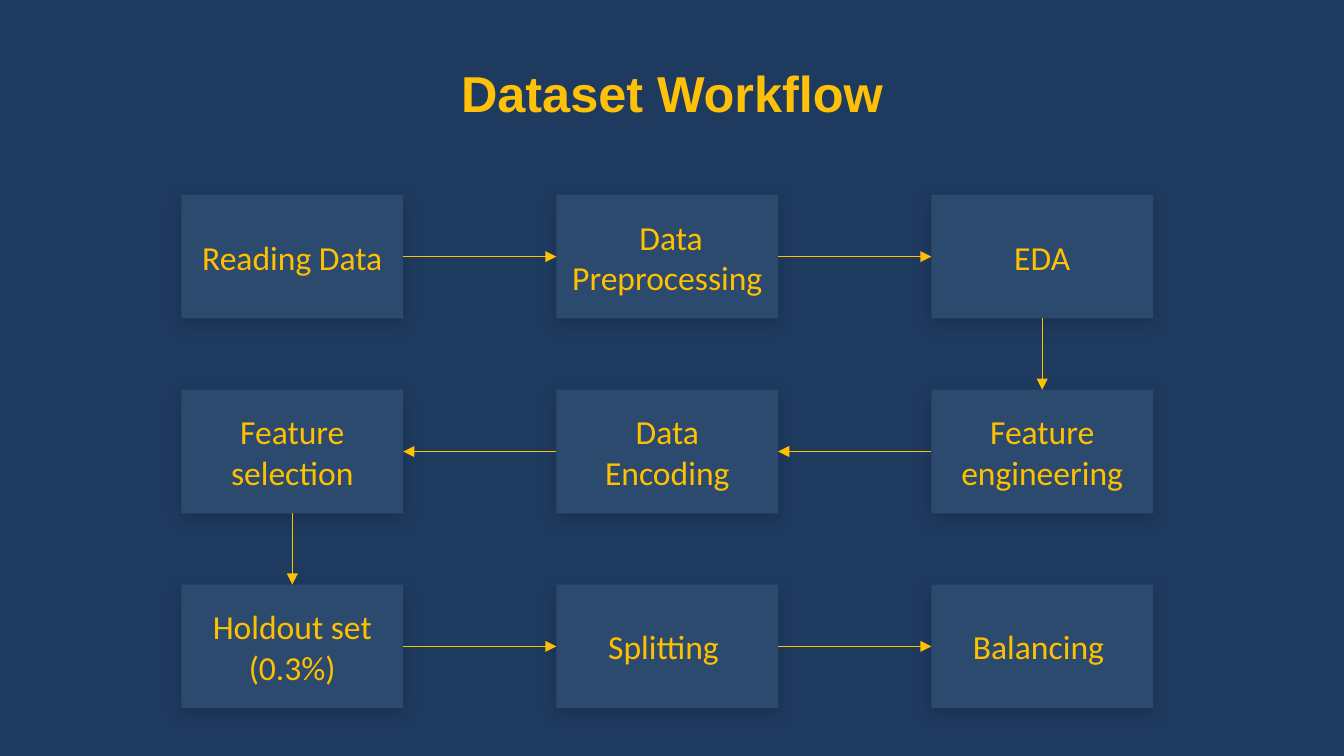
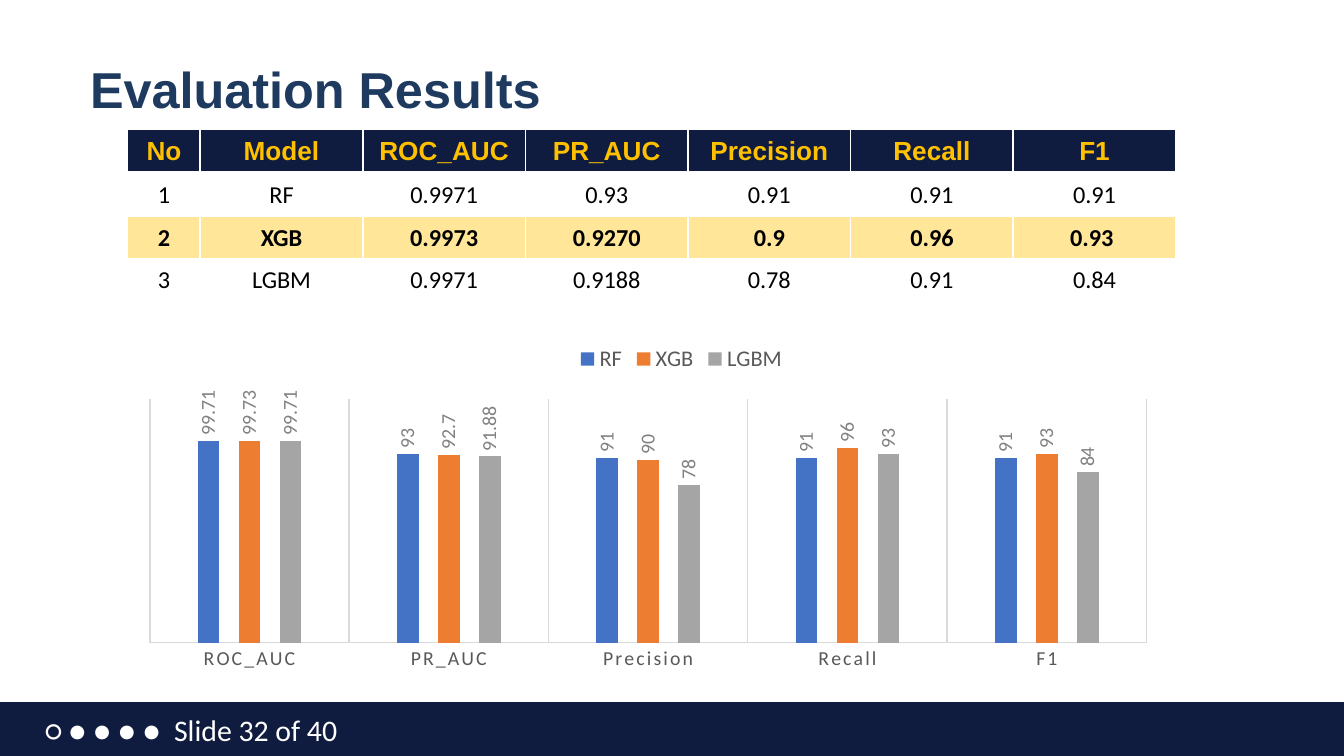
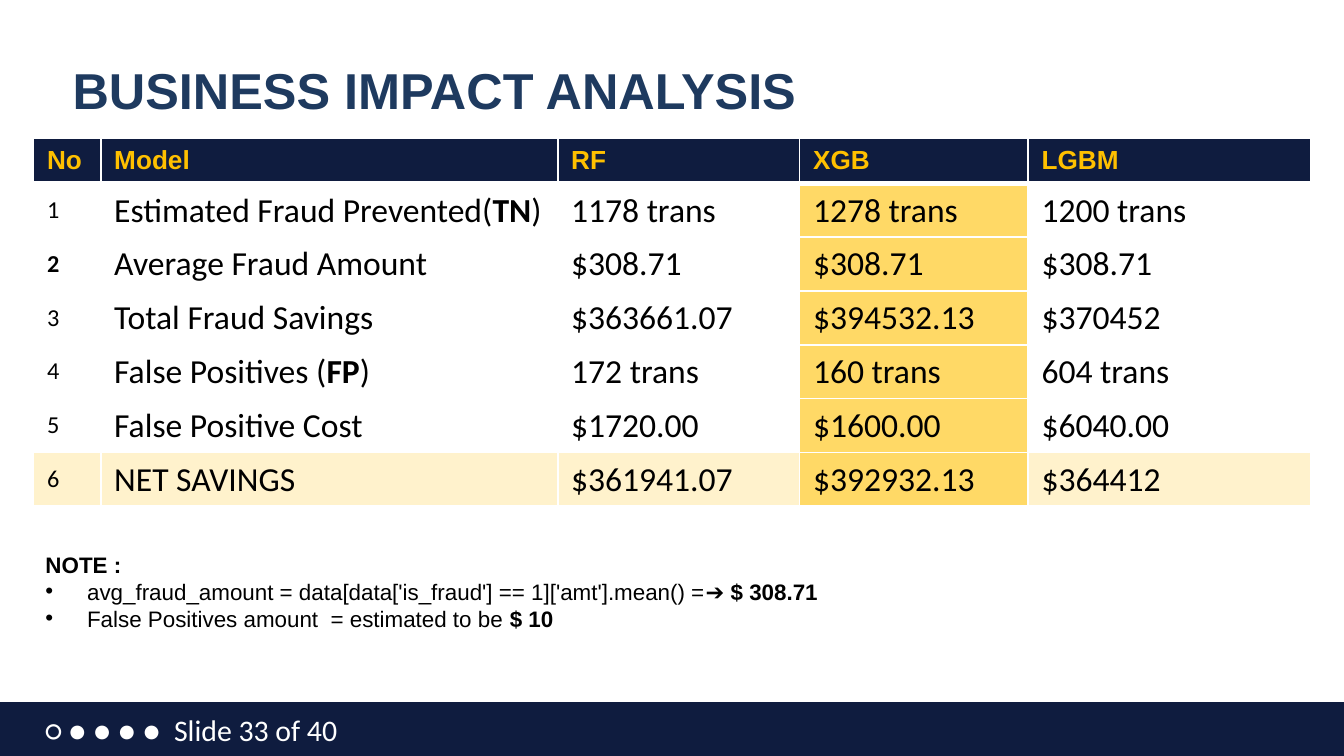
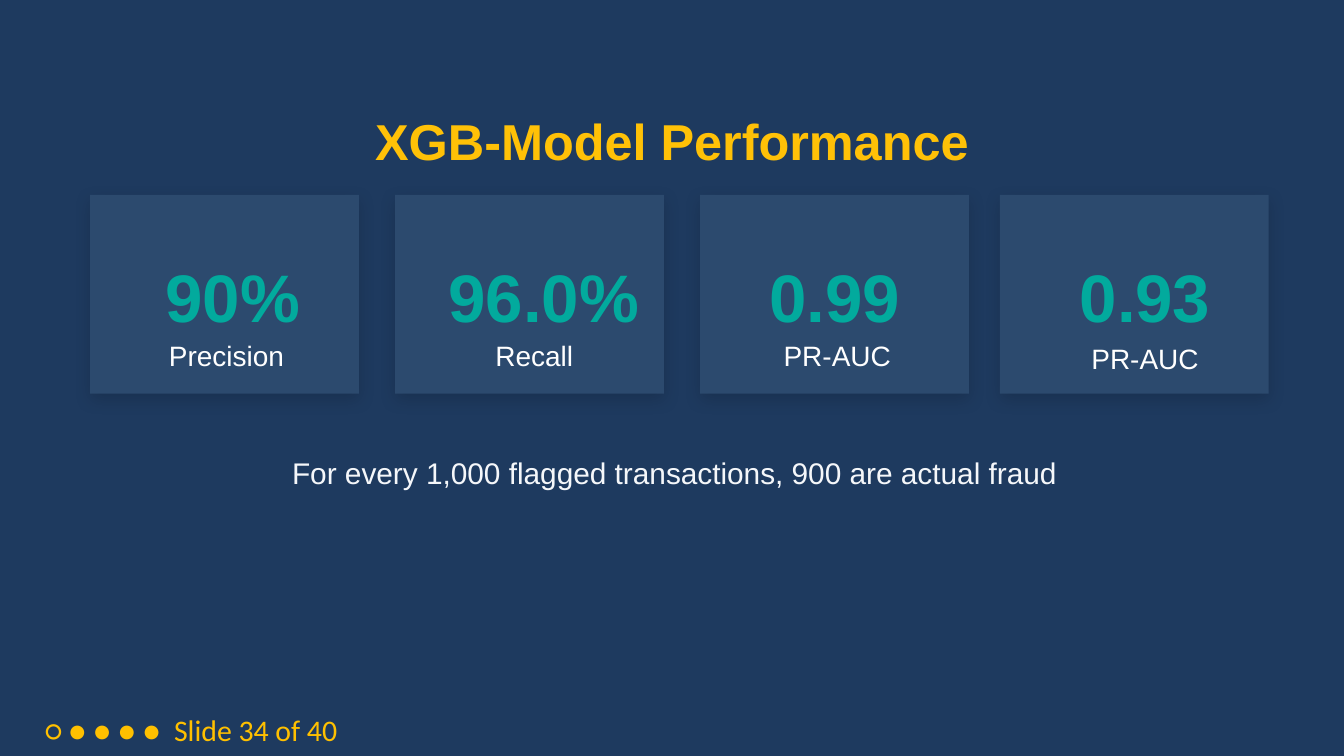
from itertools import pairwise

from lxml import etree
from pptx import Presentation
from pptx.chart.data import CategoryChartData
from pptx.dml.color import RGBColor
from pptx.enum.chart import XL_CHART_TYPE, XL_LABEL_POSITION, XL_LEGEND_POSITION, XL_TICK_MARK
from pptx.enum.shapes import MSO_CONNECTOR, MSO_SHAPE
from pptx.enum.text import MSO_ANCHOR, MSO_AUTO_SIZE, PP_ALIGN
from pptx.oxml import parse_xml
from pptx.oxml.ns import nsdecls, qn
from pptx.util import Inches, Pt

NAVY, BAND, CARD = "1E3A5F", "0F1C3F", "2C4A6E"
GOLD, AMBER, TEAL = "FFC000", "FFC107", "02AA9D"
WHITE, PALE, BLACK = "FFFFFF", "F5F7FA", "000000"
LEFT, MID = PP_ALIGN.LEFT, PP_ALIGN.CENTER


def hue(code):
    return RGBColor.from_string(code)


def place(box):
    return [Inches(n) for n in box]


def paint(fill, code):
    fill.solid()
    fill.fore_color.rgb = hue(code)


def style(font, size, code, face="Calibri", bold=None):
    font.size, font.name, font.bold = Pt(size), face, bold
    font.color.rgb = hue(code)


def write(para, text, size, code, face="Calibri", bold=None, align=LEFT, space=None):
    for i, part in enumerate(text.split("**")):
        if part:
            run = para.add_run()
            run.text = part
            if i % 2:
                run.font.bold = True
    para.alignment = align
    if space:
        para.line_spacing = space
    style(para.font, size, code, face, bold)


def clear(frame):
    frame.margin_left = frame.margin_right = frame.margin_top = frame.margin_bottom = 0


def add_page(deck, back, title, left, top, code, align=LEFT):
    page = deck.slides.add_slide(deck.slide_layouts[5])
    paint(page.background.fill, back)
    head = page.shapes.title
    head.left, head.top, head.width, head.height = place((left, top, 8.84, 0.45))
    frame = head.text_frame
    clear(frame)
    frame.auto_size, frame.vertical_anchor = MSO_AUTO_SIZE.NONE, MSO_ANCHOR.TOP
    write(frame.paragraphs[0], title, 27, code, "Arial", True, align, Pt(43.2))
    return page


def add_text(page, box, text, size, code, space, bold=None):
    frame = page.shapes.add_textbox(*place(box)).text_frame
    frame.word_wrap = True
    clear(frame)
    write(frame.paragraphs[0], text, size, code, "Arial", bold, MID, Pt(space))


def add_block(page, box, code):
    block = page.shapes.add_shape(MSO_SHAPE.RECTANGLE, *place(box))
    block.shadow.inherit = False
    paint(block.fill, code)
    block.line.fill.background()
    return block


def add_card(page, box):
    card = add_block(page, box, CARD)
    glow = parse_xml(
        f'<a:outerShdw {nsdecls("a")} blurRad="{Pt(9)}" dist="{Pt(3)}" dir="5400000" '
        'algn="bl" rotWithShape="0"><a:srgbClr val="000000">'
        '<a:alpha val="15000"/></a:srgbClr></a:outerShdw>')
    card._element.spPr.find(qn("a:effectLst")).append(glow)
    return card


def add_foot(page, count, code=WHITE, band=True):
    if band:
        bar = add_block(page, (0, 5.23, 10, 0.39), BAND)
        paint(bar.line.fill, BAND)
        bar.line.width = Pt(1)
    frame = page.shapes.add_textbox(*place((0.24, 5.25, 3.56, 0.39))).text_frame
    frame.word_wrap, frame.vertical_anchor = True, MSO_ANCHOR.MIDDLE
    write(frame.paragraphs[0], f"○ ● ● ● ●  Slide {count} of 40", 16, code, space=0.9)


def add_link(page, start, end, out, into):
    link = page.shapes.add_connector(MSO_CONNECTOR.STRAIGHT, 0, 0, 0, 0)
    link.begin_connect(start, out)
    link.end_connect(end, into)
    paint(link.line.fill, GOLD)
    link.line.width = Pt(0.5)
    etree.SubElement(link.line._get_or_add_ln(), qn("a:tailEnd"), type="triangle")
    etree.SubElement(link._element.spPr, qn("a:effectLst"))


def add_flow(page, box, steps):
    left, top, wide, high = box
    cell_w, cell_h = 1.65, 0.92
    cards = []
    for i, step in enumerate(steps):
        row, col = divmod(i, 3)
        if row % 2:
            col = 2 - col
        card = add_card(page, (left + col * (wide - cell_w) / 2,
                               top + row * (high - cell_h) / 2, cell_w, cell_h))
        card.text_frame.vertical_anchor = MSO_ANCHOR.MIDDLE
        write(card.text_frame.paragraphs[0], step, 18, GOLD, align=MID)
        cards.append(card)
    for start, end in pairwise(cards):
        if start.left == end.left:
            sites = 2, 0
        else:
            sites = (3, 1) if start.left < end.left else (1, 3)
        add_link(page, start, end, *sites)


def edge(cell, row):
    props = cell._tc.get_or_add_tcPr()
    for i, (tag, width) in enumerate(zip(
            ("lnL", "lnR", "lnT", "lnB"),
            (1, 1, 3 if row == 1 else 1, 3 if row == 0 else 1))):
        props.insert(i, parse_xml(
            f'<a:{tag} {nsdecls("a")} w="{Pt(width)}"><a:solidFill>'
            f'<a:srgbClr val="{WHITE}"/></a:solidFill></a:{tag}>'))


def add_grid(page, box, cols, rows, head, sizes, fills, align=LEFT):
    holder = page.shapes.add_table(len(rows), len(cols), *place(box))
    grid = holder.table
    grid.horz_banding = False
    for col, wide in zip(grid.columns, cols):
        col.width = Inches(wide)
    for r, row in enumerate(rows):
        grid.rows[r].height = Inches(0.2 if r else head)
        for c, text in enumerate(row):
            cell = grid.cell(r, c)
            cell.vertical_anchor = MSO_ANCHOR.MIDDLE
            para = cell.text_frame.paragraphs[0]
            if r:
                write(para, text, sizes[c > 0], BLACK, bold=False, align=align)
            else:
                write(para, text, 14, GOLD, "Arial", True, align)
            code = fills(r, c) if r else BAND
            if code:
                paint(cell.fill, code)
            else:
                cell.fill.background()
            edge(cell, r)
    holder.width, holder.height = place(box[2:])


def add_bars(page, box, cats, series):
    data = CategoryChartData()
    data.categories = cats
    for name, vals, _ in series:
        data.add_series(name, vals)
    chart = page.shapes.add_chart(XL_CHART_TYPE.COLUMN_CLUSTERED, *place(box), data).chart
    style(chart.font, 10, BLACK)
    chart.has_title = False
    chart.has_legend = True
    chart.legend.position = XL_LEGEND_POSITION.TOP
    chart.legend.include_in_layout = False
    style(chart.legend.font, 12, "595959")
    plot = chart.plots[0]
    plot.gap_width, plot.overlap, plot.vary_by_categories = 444, -90, False
    for bars, (_, _, code) in zip(plot.series, series):
        paint(bars.format.fill, code)
        tags = bars.data_labels
        tags.show_value, tags.position = True, XL_LABEL_POSITION.OUTSIDE_END
        style(tags.font, 10.6, "808080", bold=False)
        turn = tags._element.find(qn("c:txPr")).find(qn("a:bodyPr"))
        turn.set("rot", "-5400000")
        turn.set("vert", "horz")
    base = chart.category_axis
    base.major_tick_mark = base.minor_tick_mark = XL_TICK_MARK.NONE
    base.has_major_gridlines = True
    for line in (base.format.line, base.major_gridlines.format.line):
        paint(line.fill, "D9D9D9")
        line.width = Pt(0.75)
    style(base.tick_labels.font, 10.6, "595959")
    base.tick_labels.font._element.set("spc", "120")
    side = chart.value_axis
    side.visible = side.has_major_gridlines = False
    side.minimum_scale, side.maximum_scale = 0, 120
    fit_plot(chart, 0.02, 0.19, 0.9, 0.67)


def fit_plot(chart, *box):
    area = chart._chartSpace.chart.plotArea
    for old in area.findall(qn("c:layout")):
        area.remove(old)
    layout = etree.Element(qn("c:layout"))
    hand = etree.SubElement(layout, qn("c:manualLayout"))
    pairs = [("layoutTarget", "inner"), ("xMode", "edge"), ("yMode", "edge"), *zip("xywh", box)]
    for tag, val in pairs:
        etree.SubElement(hand, qn(f"c:{tag}"), val=str(val))
    area.insert(0, layout)


def add_note(page, box, head, points):
    frame = page.shapes.add_textbox(*place(box)).text_frame
    frame.word_wrap = True
    write(frame.paragraphs[0], head, 12, BLACK, "Arial", True)
    for point in points:
        para = frame.add_paragraph()
        props = para._p.get_or_add_pPr()
        props.set("marL", str(Inches(0.31)))
        props.set("indent", str(-Inches(0.31)))
        etree.SubElement(props, qn("a:buFont"), typeface="Arial")
        etree.SubElement(props, qn("a:buChar"), char="•")
        write(para, point, 12, BLACK, "Arial")


def add_score(page, left, top, score, name, spot, wide, name_spot, name_wide, drop):
    add_card(page, (left, top, 2, 1.48))
    add_text(page, (left + spot, top + 0.25, wide, 0.6), score, 36, TEAL, 57.6, True)
    add_text(page, (left + name_spot, top + drop, name_wide, 0.29), name, 15, WHITE, 28)


def show_flow(deck):
    page = add_page(deck, NAVY, "Dataset Workflow", 0.58, 0.31, AMBER, MID)
    add_flow(page, (1.35, 1.45, 7.23, 3.82), [
        "Reading Data", " Data Preprocessing", "EDA",
        "Feature engineering", "Data Encoding", "Feature selection",
        "Holdout set (0.3%)", "Splitting ", "Balancing "])


def show_tests(deck):
    page = add_page(deck, WHITE, "Evaluation Results", 0.67, 0.28, NAVY)
    add_foot(page, 32)
    tests = ["ROC_AUC", "PR_AUC", "Precision", "Recall", "F1"]
    rows = [
        ["No", "Model", *tests],
        ["1", "RF", "0.9971", "0.93", "0.91", "0.91", "0.91"],
        [f"**{text}**" for text in ("2", "XGB", "0.9973", "0.9270", "0.9", "0.96", "0.93 ")],
        ["3", "LGBM", "0.9971", "0.9188", "0.78", "0.91", "0.84"]]
    add_grid(page, (0.95, 0.96, 7.79, 1.28), [0.54] + [1.21] * 6, rows, 0.27,
             (13, 13), lambda r, c: "FFE699" if r == 2 else None, MID)
    add_bars(page, (0.95, 2.46, 8.24, 2.7), tests, [
        ("RF", (99.71, 93, 91, 91, 91), "4472C4"),
        ("XGB", (99.73, 92.7, 90, 96, 93), "ED7D31"),
        ("LGBM", (99.71, 91.88, 78, 93, 84), "A5A5A5")])


def show_impact(deck):
    page = add_page(deck, WHITE, "BUSINESS IMPACT ANALYSIS", 0.54, 0.29, NAVY)
    add_foot(page, 33)
    rows = [
        ["No", "Model", "RF", "XGB", "LGBM"],
        ["1", "Estimated Fraud Prevented(**TN**)", "1178 trans", "1278 trans", "1200 trans"],
        ["**2**", "Average Fraud Amount", "$308.71", "$308.71", "$308.71"],
        ["3", "Total Fraud Savings", "$363661.07", "$394532.13", "$370452"],
        ["4", "False Positives (**FP**)", "172 trans", "160 trans", "604 trans"],
        ["5", "False Positive Cost", "$1720.00", "$1600.00", "$6040.00"],
        ["6", "NET SAVINGS", "$361941.07", "$392932.13", "$364412"]]
    add_grid(page, (0.25, 1.03, 9.5, 2.73), [0.5, 3.4, 1.8, 1.7, 2.1], rows, 0.17,
             (13, 18), lambda r, c: "FFD966" if c == 3 else "FFF2CC" if r == 6 else None)
    add_note(page, (0.24, 4.05, 6.13, 0.91), "NOTE :", [
        "avg_fraud_amount = data[data['is_fraud'] == 1]['amt'].mean() =➔ **$ 308.71**",
        "False Positives amount  = estimated to be **$ 10**"])


def show_scores(deck):
    page = add_page(deck, NAVY, "XGB-Model Performance", 0.58, 0.67, AMBER, MID)
    for left, *parts in (
            (0.67, "90%", "Precision", 0.22, 1.68, 0.22, 1.59, 0.93),
            (2.94, "96.0%", "Recall", 0.34, 1.53, 0.35, 1.37, 0.93),
            (5.21, "0.99", "PR-AUC", 0.3, 1.4, 0.32, 1.4, 0.93),
            (7.44, "0.93", "PR-AUC", 0.38, 1.4, 0.38, 1.4, 0.95)):
        add_score(page, left, 1.45, *parts)
    add_text(page, (0.6, 3.3, 8.84, 0.45),
             "For every 1,000 flagged transactions, 900 are actual fraud", 16, PALE, 25.2)
    add_foot(page, 34, GOLD, False)


def main():
    deck = Presentation()
    deck.slide_width = Inches(10)
    deck.slide_height = deck.slide_width * 9 // 16
    for show in (show_flow, show_tests, show_impact, show_scores):
        show(deck)
    deck.save("out.pptx")


if __name__ == "__main__":
    main()
